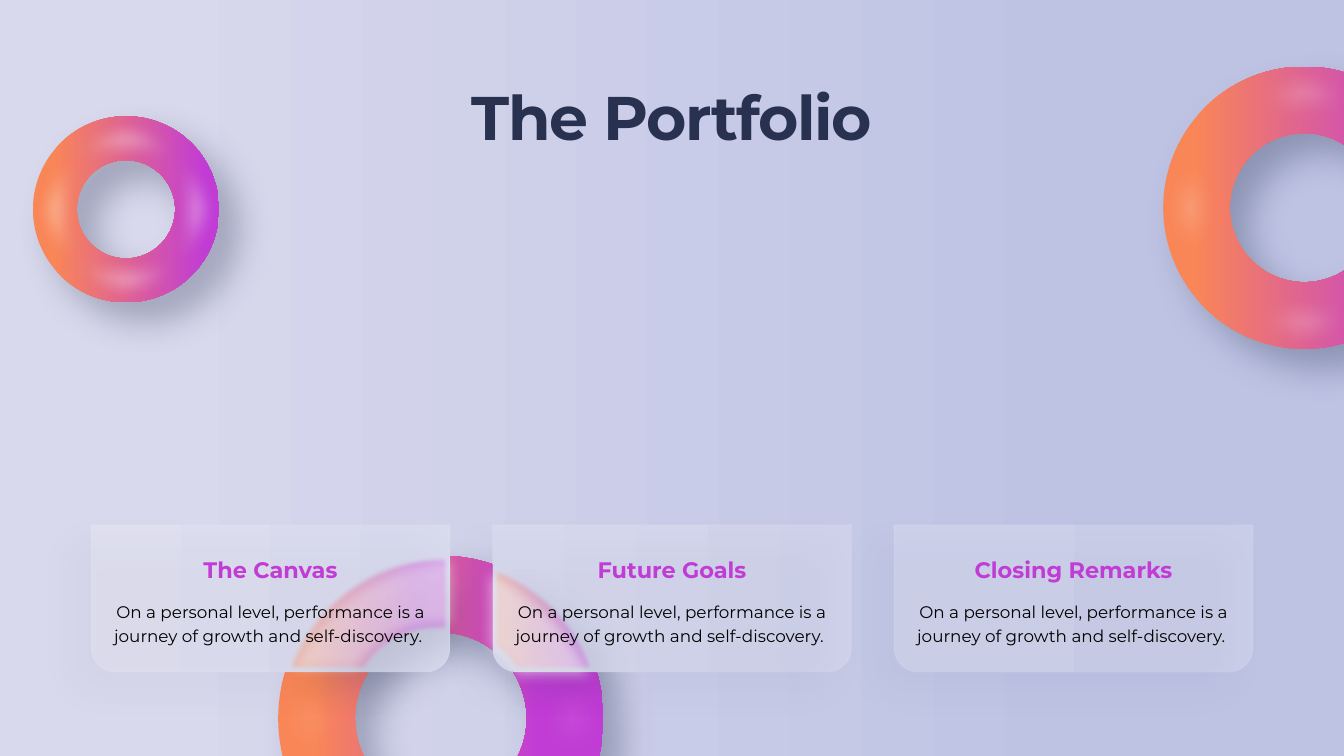
import math
from lxml import etree
from pptx import Presentation
from pptx import util as u
from pptx.dml.color import RGBColor
from pptx.enum import shapes, text
from pptx.oxml.ns import qn

# The page is a grid of one-inch columns and rows
COLS, ROWS = 20, 11.25
FONT = "Montserrat"
NAVY, PINK, ORANGE, WHITE, BLACK = "283250", "C13CD5", "F98657", "FFFFFF", "000000"
PALE = (("D9D9ED", 11), ("BEC3E4", 80))
RING_SHADE = (33, 39, 29, 45)
CARD_SHADE = (16, 36, 29, 135)
BODY = "On a personal level, performance is a journey of growth and self-discovery. "


def grid(*vals):
    return [u.Inches(v) for v in vals]


def hue(code):
    return RGBColor.from_string(code)


def tint(col):
    """The page colour at a column."""
    (one, low), (two, high) = PALE
    part = min(max((col / COLS * 100 - low) / (high - low), 0), 1)
    pairs = zip(hue(one), hue(two))
    return "".join(f"{round(a + (b - a) * part):02X}" for a, b in pairs)


def fade(part, alpha):
    """Make every colour below the given XML part see-through."""
    for node in part.iter(qn("a:srgbClr")):
        etree.SubElement(node, qn("a:alpha"), val=str(alpha * 1000))


def blend(fill, stops):
    fill.gradient()
    fill.gradient_angle = 0
    for stop, (code, pos) in zip(fill.gradient_stops, stops):
        stop.color.rgb = hue(code)
        stop.position = pos / 100


def paint(shape, stops=None, alpha=100, shade=None, soft=0):
    """Fill with a blend or plain white, then add shadow and soft edge."""
    if stops:
        blend(shape.fill, stops)
    else:
        shape.fill.solid()
        shape.fill.fore_color.rgb = hue(WHITE)
    if alpha < 100:
        fade(shape._element.spPr, alpha)
    shape.line.fill.background()
    shape.shadow.inherit = False
    effects = shape._element.spPr.find(qn("a:effectLst"))
    if shade:
        dark, blur, dist, turn = shade
        node = etree.SubElement(
            effects, qn("a:outerShdw"), blurRad=str(u.Pt(blur)), dist=str(u.Pt(dist)),
            dir=str(turn * 60000), algn="ctr", rotWithShape="0")
        etree.SubElement(node, qn("a:srgbClr"), val=NAVY)
        fade(node, dark)
    if soft:
        etree.SubElement(effects, qn("a:softEdge"), rad=str(u.Inches(soft)))


def label(slide, box, words, size, code, bold=False, space=None, track=None):
    area = slide.shapes.add_textbox(*grid(*box))
    frame = area.text_frame
    frame.word_wrap = True
    frame.auto_size = text.MSO_AUTO_SIZE.SHAPE_TO_FIT_TEXT
    frame.text = words
    para = frame.paragraphs[0]
    para.alignment = text.PP_ALIGN.CENTER
    if space:
        para.line_spacing = space
    run = para.runs[0]
    run.font.name, run.font.size, run.font.bold = FONT, u.Pt(size), bold
    run.font.color.rgb = hue(code)
    if track:
        run._r.get_or_add_rPr().set("spc", str(int(track * 100)))


def ring(slide, left, top, size, end, gloss, alpha, soft):
    """A coloured ring with a soft white gloss over it."""
    donut = shapes.MSO_SHAPE.DONUT
    base = slide.shapes.add_shape(donut, *grid(left, top, size, size))
    base.adjustments[0] = 0.236
    paint(base, ((ORANGE, 11), (PINK, end)), shade=RING_SHADE)
    shine = slide.shapes.add_shape(donut, *grid(left, top, size, size))
    shine.adjustments[0] = gloss
    paint(shine, alpha=alpha, soft=soft)


def arc(hub, rad, start, stop):
    """Start, two handles and end of one curve along a circle."""
    pull = 4 / 3 * math.tan((stop - start) / 4)

    def spot(turn, lean):
        cos, sin = math.cos(turn), math.sin(turn)
        return hub[0] + rad * (cos - lean * sin), hub[1] - rad * (sin + lean * cos)

    return [spot(start, 0), spot(start, pull), spot(stop, -pull), spot(stop, 0)]


def curve(path, first):
    """Join three line steps of a path into one curve."""
    steps = list(path)[first:first + 3]
    bend = etree.Element(qn("a:cubicBezTo"))
    path.insert(first, bend)
    for step in steps:
        bend.append(step[0])
        path.remove(step)


def shard(slide, hub, edge, floor, side, start, grow, shine):
    """The part of the low ring seen through a card, cut at its edge and floor."""
    outer, inner = 2.42, 1.28

    def cuts(rad):
        low = math.asin((hub[1] - floor) / rad)
        return (math.pi - low if side < 0 else low), math.acos((edge - hub[0]) / rad)

    low, high = cuts(outer)
    near, far = cuts(inner)
    points = arc(hub, outer, low, high) + arc(hub, inner, far, near)
    xs, ys = zip(*points)
    mid = (min(xs) + max(xs)) / 2, (min(ys) + max(ys)) / 2
    for scale, look in (
            (1, dict(stops=((ORANGE, start), (PINK, 80)), alpha=56,
                     shade=RING_SHADE, soft=0.07)),
            (grow, dict(alpha=shine, soft=0.2))):
        spots = [tuple(1000 * (m + (v - m) * scale) for v, m in zip(p, mid))
                 for p in points]
        pen = slide.shapes.build_freeform(*spots[0], scale=u.Inches(1) / 1000)
        pen.add_line_segments(spots[1:], close=True)
        shape = pen.convert_to_shape()
        path = next(shape._element.iter(qn("a:path")))
        curve(path, 5)
        curve(path, 1)
        paint(shape, **look)


def card(slide, box, head, cut=None):
    """A glass card: pale base, ring shard if any, white pane, two texts."""
    left, top, wide, high = box

    def pane(**look):
        shape = slide.shapes.add_shape(
            shapes.MSO_SHAPE.ROUND_2_SAME_RECTANGLE, *grid(*box))
        shape.adjustments[0], shape.adjustments[1] = 0, 0.163
        paint(shape, **look)
        return shape

    pane(stops=((tint(left), 0), (tint(left + wide), 100)))
    if cut:
        hub, side, start, grow, shine = cut
        edge = left + wide if side < 0 else left
        shard(slide, hub, edge, top + high, side, start, grow, shine)
    glass = pane(alpha=18, shade=CARD_SHADE)
    glass.line.color.rgb = hue(WHITE)
    glass.line.width = u.Pt(1)
    fade(glass.line._ln, 10)

    label(slide, (left + 0.87, top + 0.42, wide - 1.74, 0.5), head, 24, PINK, bold=True)
    label(slide, (left + 0.13, top + 1.03, wide - 0.26, 0.83), BODY, 18, BLACK, space=1.2)


def main():
    deck = Presentation()
    deck.slide_width, deck.slide_height = grid(COLS, ROWS)
    slide = deck.slides.add_slide(deck.slide_layouts[6])
    blend(slide.background.fill, PALE)

    # Rings
    ring(slide, 0.49, 1.73, 2.77, 93, 0.24, 47, 0.24)
    ring(slide, 4.14, 8.27, 4.84, 80, 0.183, 56, 0.4)
    ring(slide, 17.31, 0.99, 4.2, 93, 0.183, 50, 0.32)

    # Title
    label(slide, (2.54, 1.12, COLS - 5.08, 1.21), "The Portfolio", 66, NAVY,
          bold=True, track=-1.5)

    # Cards, the first two lying over the low ring
    hub = (6.56, 10.69)
    wide, step = 5.34, 5.975
    first = (COLS - wide - 2 * step) / 2
    cards = (("The Canvas", (hub, -1, 11, 1.16, 37)),
             ("Future Goals", (hub, 1, 0, 1.28, 50)),
             ("Closing Remarks", None))
    for i, (head, cut) in enumerate(cards):
        card(slide, (first + i * step, 7.81, wide, 2.19), head, cut)

    deck.save("out.pptx")


if __name__ == "__main__":
    main()
